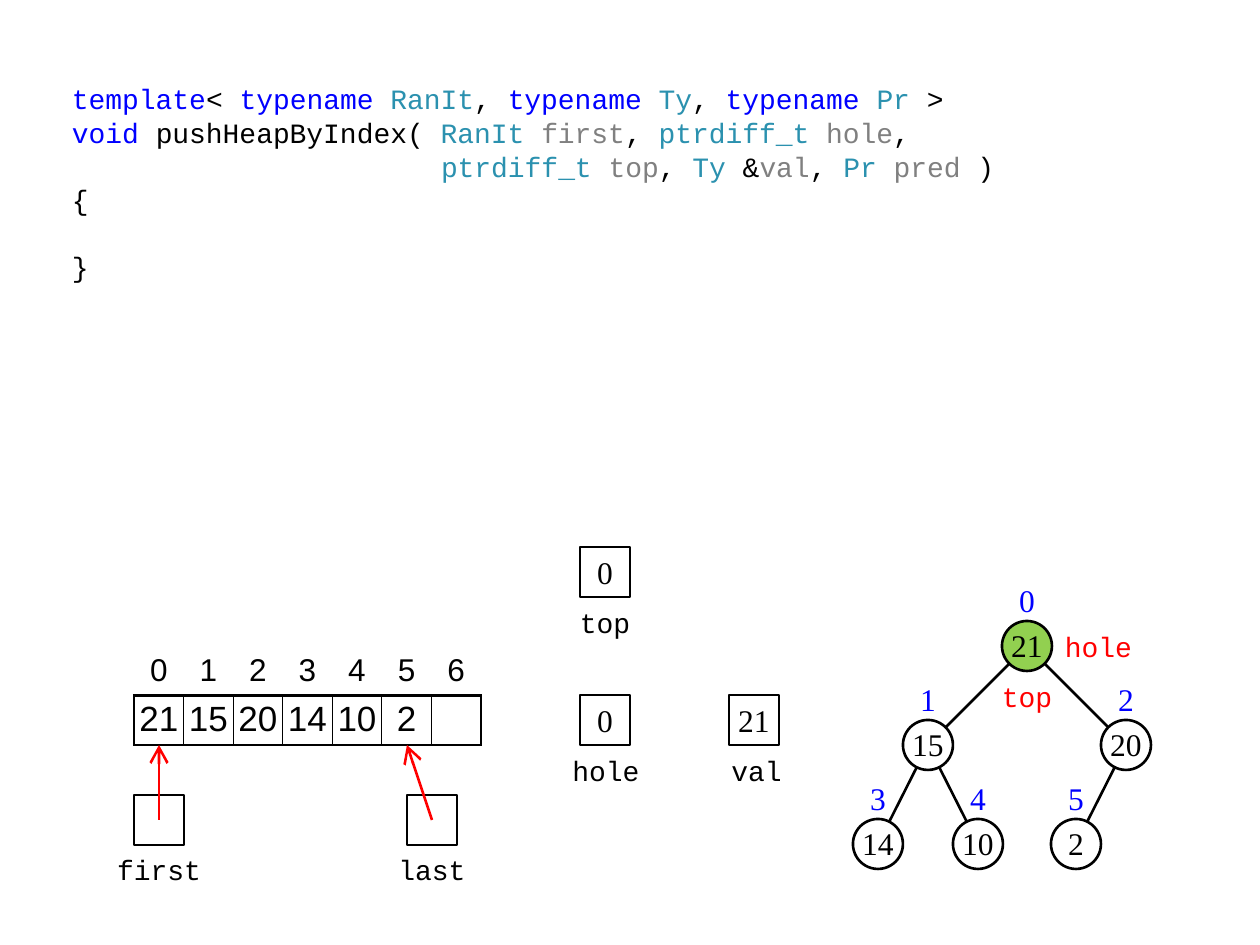
import pptx
import pptx.util
import pptx.dml.color
import pptx.enum.shapes
import pptx.enum.text
import pptx.oxml

PIXEL = 914400 / 126
CELL = 50
HALF = CELL // 2
COLORS = {"black": "000000", "white": "FFFFFF", "keyword": "0000FF", "type": "2B91AF",
          "parameter": "808080", "red": "FF0000", "green": "92D050"}
CODE, SERIF, SANS = "Courier New", "Times New Roman", "Arial"
ANCHOR = pptx.enum.text.MSO_ANCHOR
ALIGN = pptx.enum.text.PP_ALIGN
SHAPE = pptx.enum.shapes.MSO_SHAPE
NAMESPACE = 'xmlns:a="http://schemas.openxmlformats.org/drawingml/2006/main"'

# Each code line: left indent, space before in points, runs
CODE_LINES = [
    (0, 0, [("template", "keyword"), ("< ", "black"), ("typename ", "keyword"),
            ("RanIt", "type"), (", ", "black"), ("typename ", "keyword"), ("Ty", "type"),
            (", ", "black"), ("typename ", "keyword"), ("Pr", "type"), (" >", "black")]),
    (0, 0, [("void ", "keyword"), ("pushHeapByIndex( ", "black"), ("RanIt ", "type"),
            ("first", "parameter"), (", ", "black"), ("ptrdiff_t ", "type"),
            ("hole", "parameter"), (",", "black")]),
    (369, 0, [("ptrdiff_t ", "type"), ("top", "parameter"), (", ", "black"), ("Ty", "type"),
              (" &", "black"), ("val", "parameter"), (", ", "black"), ("Pr ", "type"),
              ("pred", "parameter"), (" )", "black")]),
    (0, 0, [("{", "black")]),
    (0, 19.2, [("}", "black")]),
]


def px(length):
    return pptx.util.Emu(round(length * PIXEL))


def color(name):
    return pptx.dml.color.RGBColor.from_string(COLORS[name])


def add_run(paragraph, text, font, size, color_name):
    run = paragraph.add_run()
    run.text = text
    run.font.name = font
    run.font.size = pptx.util.Pt(size)
    run.font.color.rgb = color(color_name)


def set_margins(target, left=0, top=0, right=0, bottom=0):
    target.margin_left, target.margin_top = px(left), px(top)
    target.margin_right, target.margin_bottom = px(right), px(bottom)


def add_label(slide, text, left, top, width=2 * CELL, font=CODE, size=16, color_name="black",
              anchor=ANCHOR.MIDDLE, align=ALIGN.CENTER, margins=(0, 0, 0, 0)):
    label = slide.shapes.add_textbox(px(left), px(top), px(width), px(CELL))
    frame = label.text_frame
    frame.word_wrap = False
    frame.vertical_anchor = anchor
    set_margins(frame, *margins)
    frame.paragraphs[0].alignment = align
    add_run(frame.paragraphs[0], text, font, size, color_name)


def add_cell_shape(slide, kind, left, top, text="", fill="white", anchor=ANCHOR.MIDDLE):
    shape = slide.shapes.add_shape(kind, px(left), px(top), px(CELL), px(CELL))
    shape.shadow.inherit = False
    shape.fill.solid()
    shape.fill.fore_color.rgb = color(fill)
    shape.line.color.rgb = color("black")
    shape.line.width = pptx.util.Pt(1.5)
    if text:
        frame = shape.text_frame
        frame.vertical_anchor = anchor
        set_margins(frame)
        frame.paragraphs[0].alignment = ALIGN.CENTER
        add_run(frame.paragraphs[0], text, SERIF, 18, "black")


def add_line(slide, start, end, color_name="black", arrow=False):
    line = slide.shapes.add_connector(pptx.enum.shapes.MSO_CONNECTOR.STRAIGHT,
                                      px(start[0]), px(start[1]), px(end[0]), px(end[1]))
    line.line.color.rgb = color(color_name)
    line.line.width = pptx.util.Pt(1.5)
    if arrow:
        line.line._get_or_add_ln().append(pptx.oxml.parse_xml(
            f'<a:tailEnd {NAMESPACE} type="arrow" w="lg" len="lg"/>'))
    line._element.spPr.append(pptx.oxml.parse_xml(f"<a:effectLst {NAMESPACE}/>"))


def set_border(cell, side, points):
    paint = (f'<a:solidFill><a:srgbClr val="{COLORS["black"]}"/></a:solidFill>'
             if points else "<a:noFill/>")
    cell._tc.get_or_add_tcPr().append(pptx.oxml.parse_xml(
        f'<a:ln{side} {NAMESPACE} w="{round(points * 12700)}">{paint}</a:ln{side}>'))


def add_code(slide, left, top, width, height):
    box = slide.shapes.add_textbox(px(left), px(top), px(width), px(height))
    frame = box.text_frame
    frame.word_wrap = True
    set_margins(frame, 13, 6, 13, 6)
    for index, (indent, before, runs) in enumerate(CODE_LINES):
        paragraph = frame.add_paragraph() if index else frame.paragraphs[0]
        paragraph.line_spacing = pptx.util.Pt(19.2)
        paragraph.space_before = pptx.util.Pt(before)
        if indent:
            paragraph._p.get_or_add_pPr().set("marL", str(px(indent)))
        for text, color_name in runs:
            add_run(paragraph, text, CODE, 16, color_name)


def add_array(slide, left, top, width, height, values):
    count = len(values)
    table = slide.shapes.add_table(2, count, px(left), px(top), px(width), px(height)).table
    table.first_row = table.horz_banding = False
    for row in table.rows:
        row.height = px(height / 2)
    for column, value in enumerate(values):
        table.columns[column].width = px(width / count)
        rows = [(str(column), 18, 0, {"L": 0, "R": 0, "T": 0, "B": 1.5}),
                (value, 20, 2, {"L": 0.75 if column else 1.5,
                                "R": 0.75 if column < count - 1 else 1.5,
                                "T": 1.5, "B": 1.5})]
        for row, (text, size, bottom, borders) in enumerate(rows):
            cell = table.cell(row, column)
            for side, points in borders.items():
                set_border(cell, side, points)
            cell.fill.background()
            set_margins(cell, bottom=bottom)
            cell.vertical_anchor = ANCHOR.MIDDLE
            paragraph = cell.text_frame.paragraphs[0]
            paragraph.alignment = ALIGN.CENTER
            if text:
                add_run(paragraph, text, SANS, size, "black")

    # Iterators pointing into the array
    for name, box_left, target in [("first", 0, 25), ("last", 273, 273)]:
        box_left += left
        add_label(slide, name, box_left - HALF, top + 198)
        add_cell_shape(slide, SHAPE.RECTANGLE, box_left, top + 149)
        add_line(slide, (box_left + HALF, top + 174), (left + target, top + height), "red", True)


def add_variable(slide, left, top, name, value, shift=0):
    add_cell_shape(slide, SHAPE.RECTANGLE, left, top, value)
    add_label(slide, name, left - HALF, top + CELL, margins=(shift, 0, 0, 0))


def add_heap(slide, root_x, root_y, values):
    spreads, level_gap = [99, 50], 99
    centers = [(root_x, root_y)]
    for index in range(1, len(values)):
        x, y = centers[(index - 1) // 2]
        level = (index + 1).bit_length() - 1
        direction = -1 if index % 2 else 1
        centers.append((x + direction * spreads[level - 1], y + level_gap))
        add_line(slide, (x, y), centers[index])
    for index, (x, y) in enumerate(centers):
        add_cell_shape(slide, SHAPE.OVAL, x - HALF, y - HALF, values[index],
                       "white" if index else "green", ANCHOR.BOTTOM)
        add_label(slide, str(index), x - HALF, y - HALF - CELL, CELL, SERIF, 18,
                  "keyword", ANCHOR.BOTTOM, margins=(0, 0, 0, 2))

    # Markers beside the root
    add_label(slide, "top", root_x - CELL, root_y + HALF, color_name="red")
    add_label(slide, "hole", root_x + HALF, root_y - HALF, color_name="red",
              align=ALIGN.LEFT, margins=(13, 0, 13, 0))


presentation = pptx.Presentation()
presentation.slide_width, presentation.slide_height = px(1260), px(945)
slide = presentation.slides.add_slide(presentation.slide_layouts[6])

add_code(slide, 59, 76, 1091, 446)
add_array(slide, 134, 646, 347, 99, ["21", "15", "20", "14", "10", "2", ""])
add_variable(slide, 580, 547, "top", "0")
add_variable(slide, 580, 695, "hole", "0", 2)
add_variable(slide, 729, 695, "val", "21", 5)
add_heap(slide, 1027, 646, ["21", "15", "20", "14", "10", "2"])
presentation.save("out.pptx")
